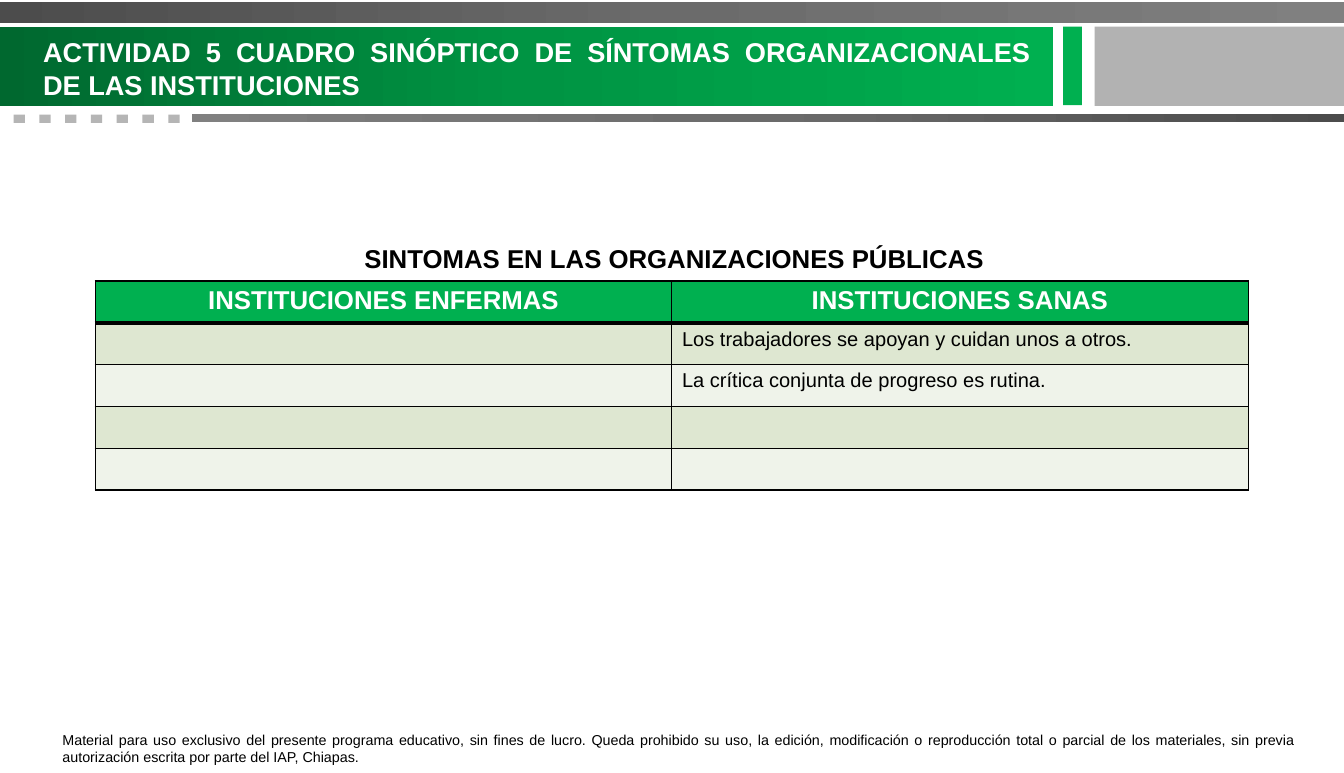
from copy import deepcopy

from lxml import etree
from pptx import Presentation
from pptx.dml.color import RGBColor
from pptx.enum.shapes import MSO_SHAPE
from pptx.enum.text import PP_ALIGN
from pptx.oxml.ns import qn
from pptx.util import Pt

RECT = MSO_SHAPE.RECTANGLE
CENTER, JUSTIFY = PP_ALIGN.CENTER, PP_ALIGN.JUSTIFY

BLACK = RGBColor(0x00, 0x00, 0x00)
WHITE = RGBColor(0xFF, 0xFF, 0xFF)
GREEN = RGBColor(0x00, 0xB0, 0x50)
SILVER = RGBColor(0xB2, 0xB2, 0xB2)
DOT_GRAY = RGBColor(0xB5, 0xB5, 0xB5)
BAND_DARK = RGBColor(0xDE, 0xE7, 0xD1)
BAND_LIGHT = RGBColor(0xEF, 0xF3, 0xEA)
GREEN_FADE = [RGBColor(0x00, 0x68, 0x2F), RGBColor(0x00, 0x94, 0x43), GREEN]
GRAY_FADE = [RGBColor(0x4C, 0x4C, 0x4C), RGBColor(0x6B, 0x6B, 0x6B),
             RGBColor(0x80, 0x80, 0x80)]

prs = Presentation()
prs.slide_width = Pt(938.5)
prs.slide_height = Pt(540)
slide = prs.slides.add_slide(prs.slide_layouts[6])


def add_bar(left, top, width, height, color, angle=0):
    """Add a borderless bar; a list of three colours makes a gradient."""
    bar = slide.shapes.add_shape(RECT, Pt(left), Pt(top), Pt(width), Pt(height))
    bar.shadow.inherit = False
    bar.line.fill.background()
    if isinstance(color, list):
        bar.fill.gradient()
        bar.fill.gradient_angle = angle
        first = bar.fill._fill._gradFill.find(qn("a:gsLst"))[0]
        first.addnext(deepcopy(first))
        for i, stop in enumerate(bar.fill.gradient_stops):
            stop.position = i / 2
            stop.color.rgb = color[i]
    else:
        bar.fill.solid()
        bar.fill.fore_color.rgb = color


def write(frame, text, align, color, font_format):
    paragraph = frame.paragraphs[0]
    paragraph.text = text
    paragraph.alignment = align
    paragraph.font.color.rgb = color
    for name, value in font_format.items():
        setattr(paragraph.font, name, value)


# Header bars
add_bar(0, 18.7, 735.1, 55.4, GREEN_FADE)
add_bar(742.4, 18.7, 13, 54.7, GREEN)
add_bar(764.4, 18.7, 174.1, 55.4, SILVER)
add_bar(0, 1.3, 938.5, 15, GRAY_FADE)

# Dotted rule under the header
for i in range(7):
    add_bar(9.5 + 18 * i, 80, 7.9, 5.8, DOT_GRAY)
add_bar(134, 79.3, 804.5, 5.8, GRAY_FADE, angle=180)

# Title, table caption and legal notice
HEADING = {"name": "Arial", "size": Pt(18), "bold": True}
TITLE = {**HEADING, "size": Pt(19)}
BODY = {"name": "Arial", "size": Pt(14), "bold": False}
NOTICE = {**BODY, "size": Pt(10)}
texts = [
    (36.5, 507.3, 873.6, 31.5, JUSTIFY, BLACK, NOTICE,
     "Material para uso exclusivo del presente programa educativo, sin fines de lucro. "
     "Queda prohibido su uso, la edición, modificación o reproducción total o parcial de "
     "los materiales, sin previa autorización escrita por parte del IAP, Chiapas."),
    (82, 166, 777.6, 29, CENTER, BLACK, HEADING,
     "SINTOMAS EN LAS ORGANIZACIONES PÚBLICAS"),
    (23, 21.3, 703.6, 53.3, JUSTIFY, WHITE, TITLE,
     "ACTIVIDAD 5 CUADRO SINÓPTICO DE SÍNTOMAS ORGANIZACIONALES DE LAS INSTITUCIONES"),
]
for left, top, width, height, align, color, font_format, text in texts:
    box = slide.shapes.add_textbox(Pt(left), Pt(top), Pt(width), Pt(height))
    box.text_frame.word_wrap = True
    write(box.text_frame, text, align, color, font_format)

# Symptoms table
symptoms = [
    ("INSTITUCIONES ENFERMAS", "INSTITUCIONES SANAS"),
    ("", "Los trabajadores se apoyan y cuidan unos a otros."),
    ("", "La crítica conjunta de progreso es rutina."),
    ("", ""),
    ("", ""),
]
table = slide.shapes.add_table(len(symptoms), 2, Pt(66.6), Pt(196.3),
                               Pt(805), Pt(146)).table
for r, row in enumerate(symptoms):
    table.rows[r].height = Pt(29.2)
    for c, text in enumerate(row):
        cell = table.cell(r, c)
        # Cell borders, heavier along the header's lower edge
        for side in ("L", "R", "T", "B"):
            heavy = (r, side) in ((0, "B"), (1, "T"))
            border = etree.SubElement(cell._tc.get_or_add_tcPr(), qn(f"a:ln{side}"),
                                      w=str(Pt(3 if heavy else 1)))
            border_fill = etree.SubElement(border, qn("a:solidFill"))
            etree.SubElement(border_fill, qn("a:srgbClr"), val=str(BLACK))
        cell.fill.solid()
        if r == 0:
            cell.fill.fore_color.rgb = GREEN
            write(cell.text_frame, text, CENTER, WHITE, HEADING)
        else:
            cell.fill.fore_color.rgb = BAND_DARK if r % 2 else BAND_LIGHT
            write(cell.text_frame, text, JUSTIFY, BLACK, BODY)

prs.save("out.pptx")
